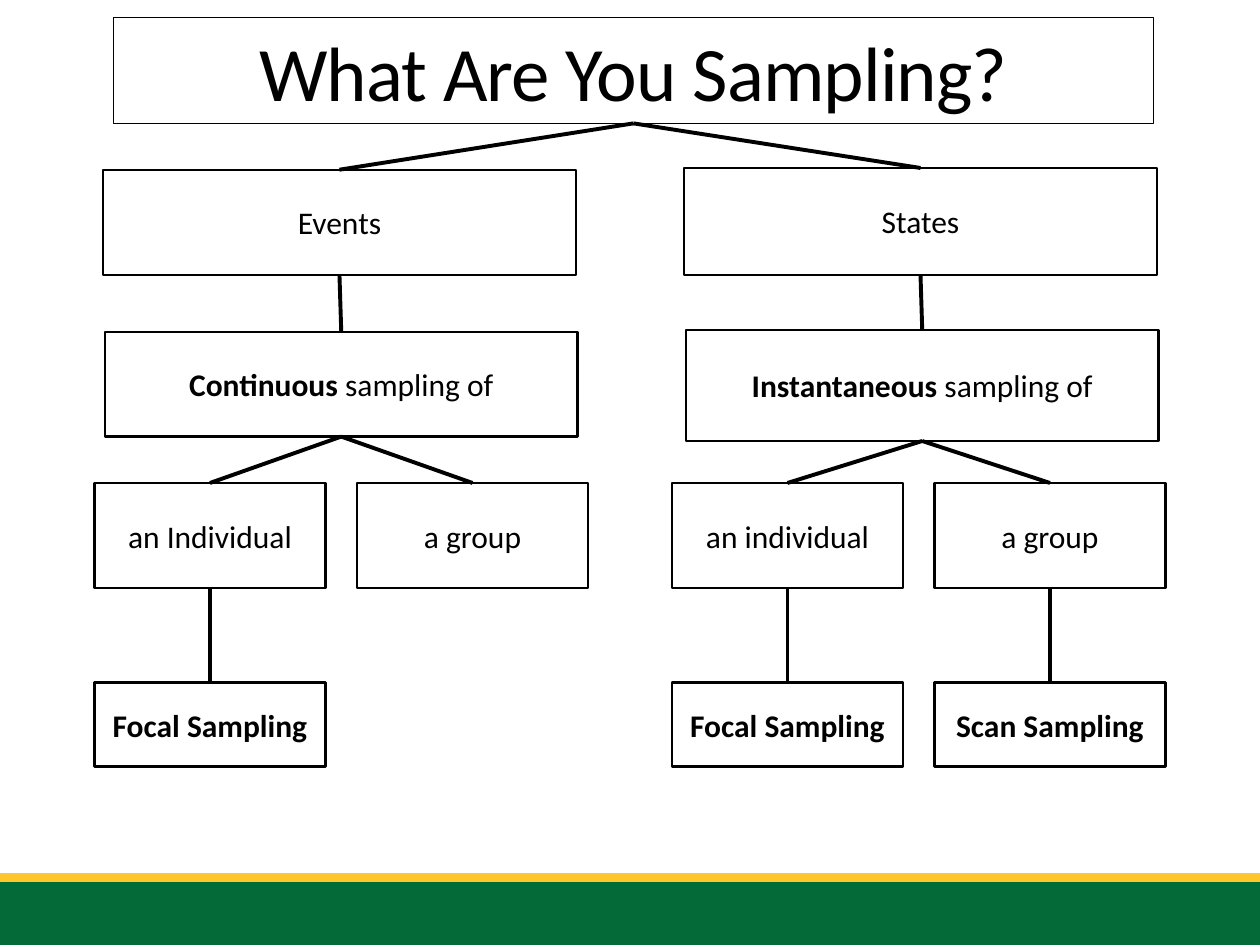
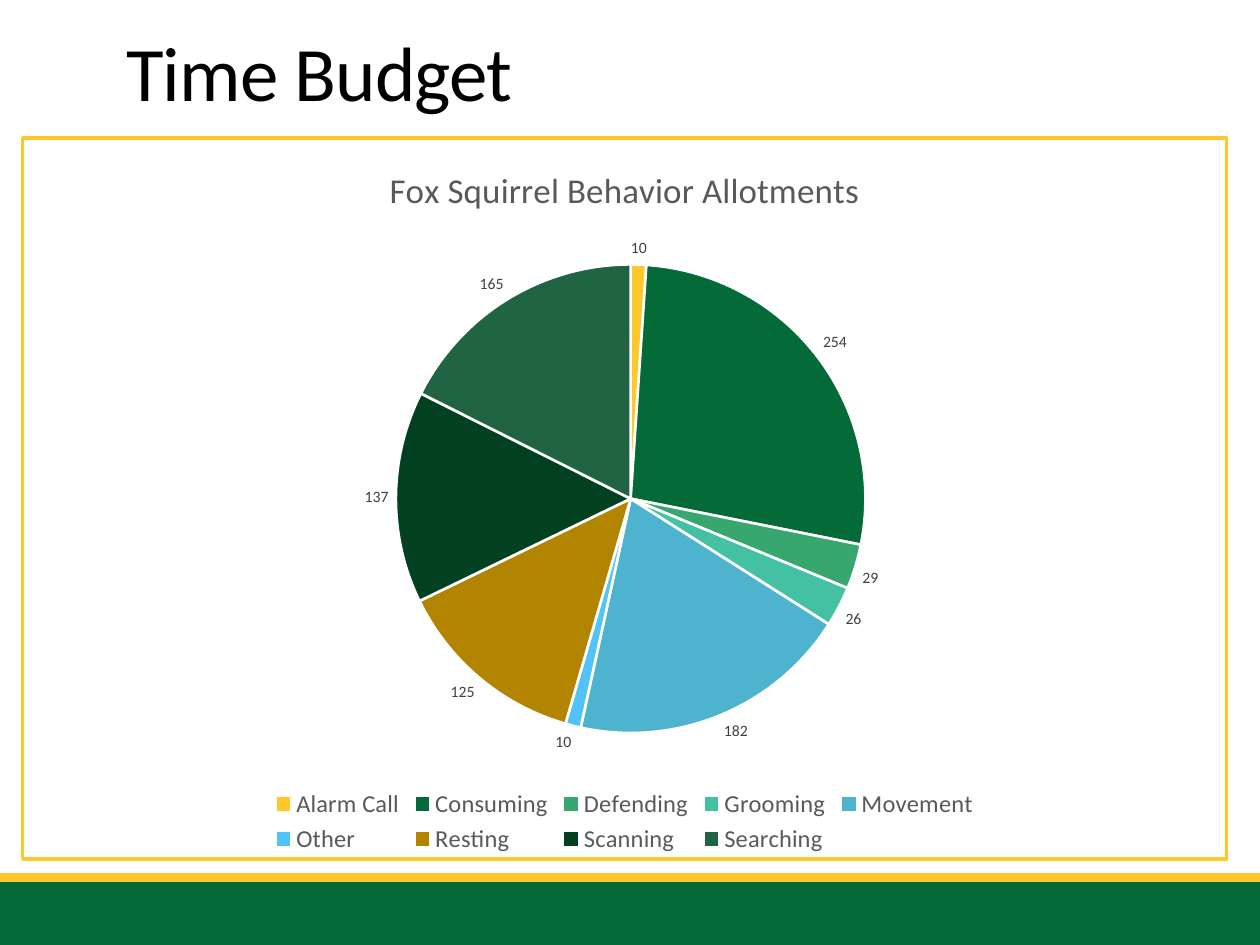
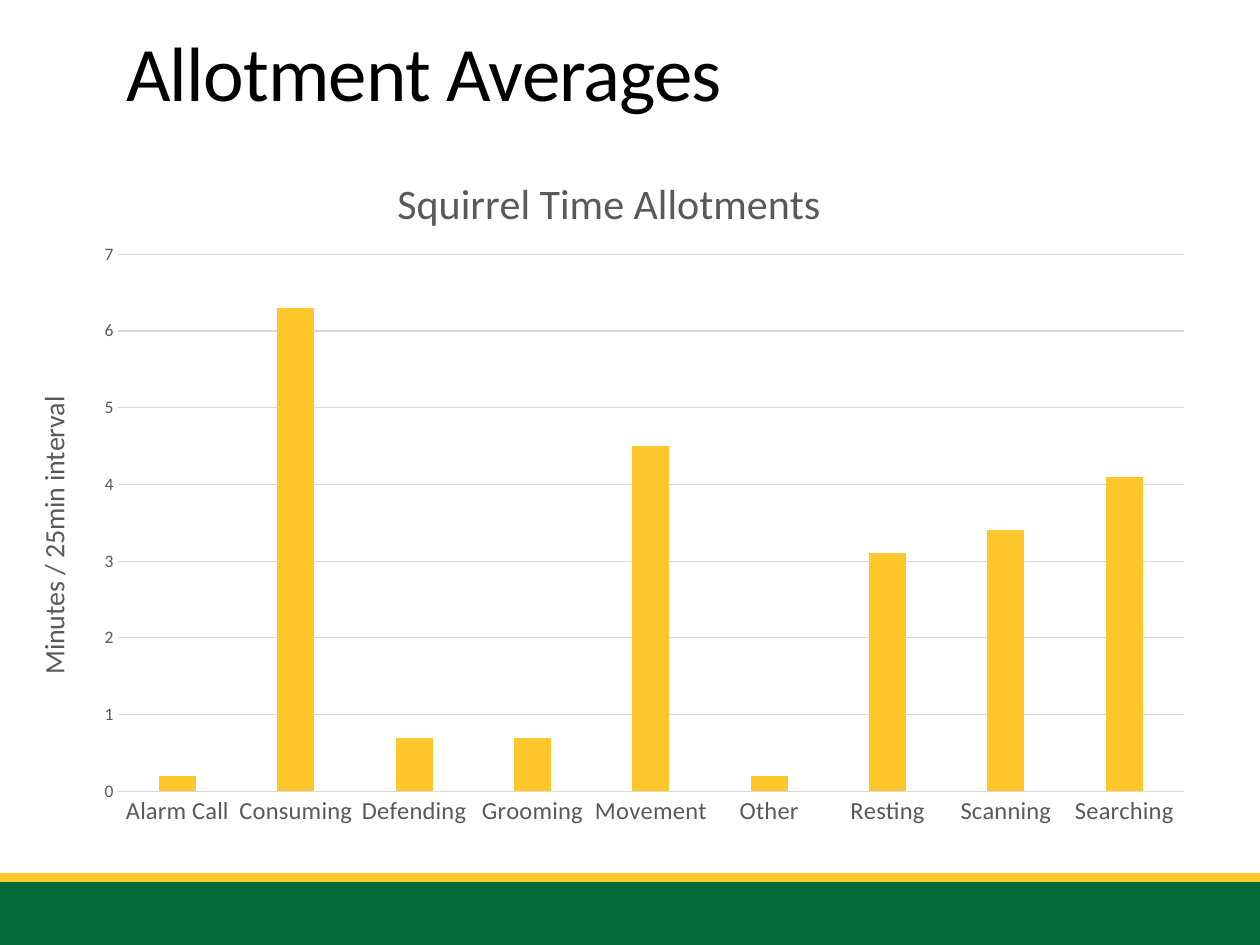
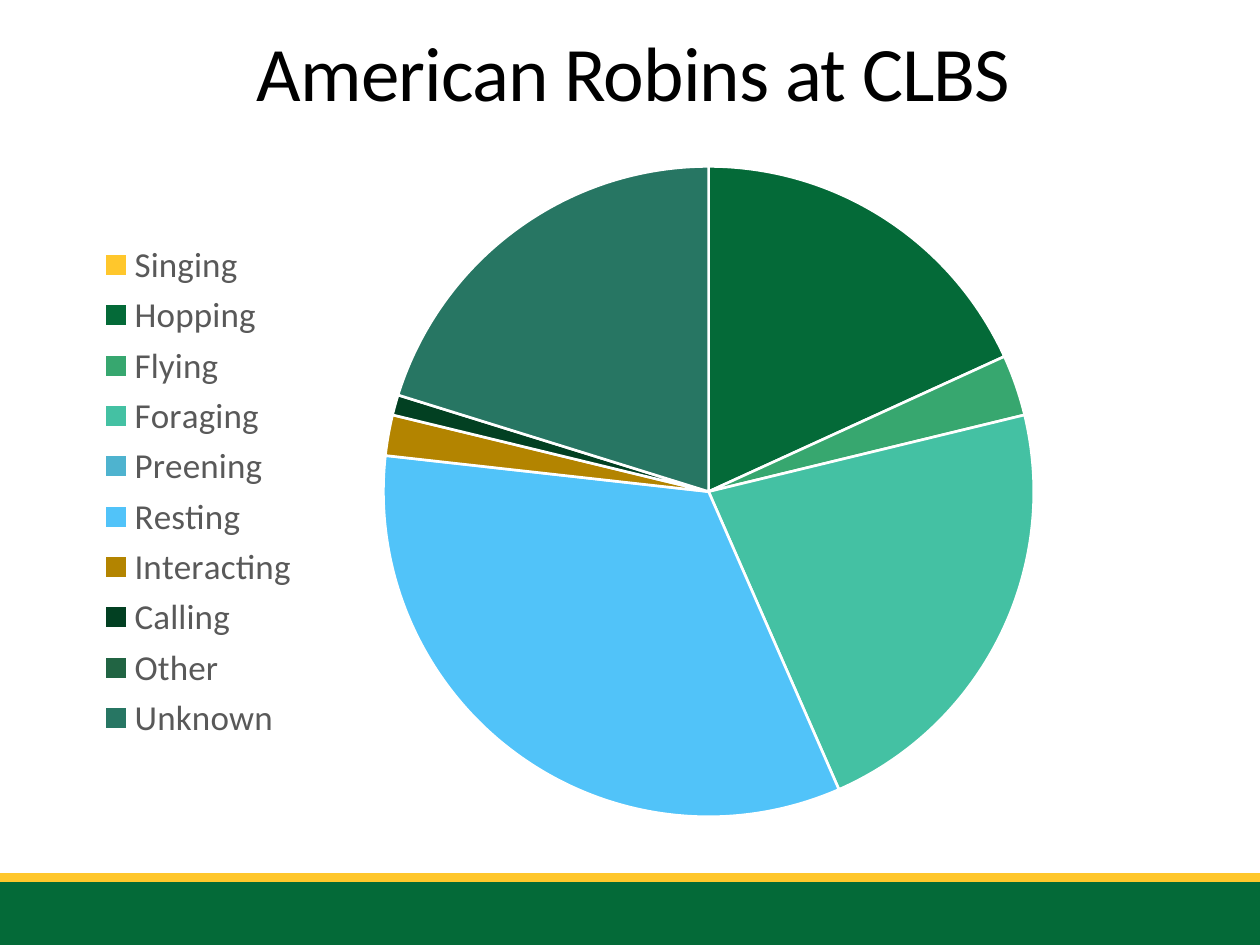
from pptx import Presentation
from pptx.chart.data import CategoryChartData
from pptx.dml.color import RGBColor
from pptx.enum import chart as ch, shapes, text
from pptx.oxml import parse_xml
from pptx.oxml.ns import nsdecls, qn
from pptx.util import Pt


class Theme:
    font = "Calibri"
    ink, paper, gray, label, rule = "000000", "FFFFFF", "595959", "404040", "D9D9D9"
    green, gold = "046A38", "FFC72C"
    slices = [gold, green, "37A76F", "44C1A3", "4EB3CF",
              "51C3F9", "B38400", "024022", "216443", "277663"]
    title, node, axis, mark = 44, 18, 10, 9


def style(font, size, color, bold=False):
    font.name, font.size, font.bold = Theme.font, Pt(size), bold
    font.color.rgb = RGBColor.from_string(color)


def plot(slide, kind, names, values, box, area, head=None, size=None):
    """Add a one-series chart whose plot fills area, given as fractions of the box."""
    data = CategoryChartData()
    data.categories = names
    data.add_series("Series 1", values)
    chart = slide.shapes.add_chart(kind, *map(Pt, box), data).chart
    style(chart.font, Theme.axis, Theme.ink)
    chart.has_legend = False
    chart.has_title = head is not None
    if head:
        chart.chart_title.text_frame.text = head
        style(chart.chart_title.text_frame.paragraphs[0].runs[0].font, size, Theme.gray)
    root = chart.element.find(".//" + qn("c:plotArea"))
    for old in root.findall(qn("c:layout")):
        root.remove(old)
    sizes = "".join(f'<c:{k} val="{v}"/>' for k, v in zip("xywh", area))
    root.insert(0, parse_xml(
        f'<c:layout {nsdecls("c")}><c:manualLayout><c:layoutTarget val="inner"/>'
        f'<c:xMode val="edge"/><c:yMode val="edge"/>{sizes}</c:manualLayout></c:layout>'))
    chart.plots[0].vary_by_categories = kind == ch.XL_CHART_TYPE.PIE
    if kind == ch.XL_CHART_TYPE.PIE:
        for i in range(len(names)):
            part = chart.plots[0].series[0].points[i].format
            part.fill.solid()
            part.fill.fore_color.rgb = RGBColor.from_string(Theme.slices[i])
            part.line.color.rgb = RGBColor.from_string(Theme.paper)
            part.line.width = Pt(1.5)
    return chart


deck = Presentation()
deck.slide_width, deck.slide_height = Pt(720), Pt(540)
titles = [("What Are You Sampling?", text.PP_ALIGN.CENTER),
          ("Time Budget", text.PP_ALIGN.LEFT),
          ("Allotment Averages", text.PP_ALIGN.LEFT),
          ("American Robins at CLBS", text.PP_ALIGN.CENTER)]
for words, align in titles:
    title = deck.slides.add_slide(deck.slide_layouts[5]).shapes.title
    title.left, title.top, title.width, title.height = Pt(65), Pt(10), Pt(594), Pt(60.5)
    frame = title.text_frame
    frame.text = words
    frame.word_wrap = True
    frame.auto_size = text.MSO_AUTO_SIZE.NONE
    frame.vertical_anchor = text.MSO_ANCHOR.BOTTOM
    line = frame.paragraphs[0]
    line.alignment, line.line_spacing = align, 0.85
    style(line.runs[0].font, Theme.title, Theme.ink)
    line.runs[0].font._element.set("spc", "-50")
tree, pie, bars, robins = deck.slides

# Footer bands, moved to the master so that every slide shows them
for top, height, color in [(499, 5, Theme.gold), (504, 36, Theme.green)]:
    band = tree.shapes.add_shape(shapes.MSO_SHAPE.RECTANGLE, 0, Pt(top), Pt(720), Pt(height))
    band.shadow.inherit = False
    band.fill.solid()
    band.fill.fore_color.rgb = RGBColor.from_string(color)
    band.line.fill.background()
    deck.slide_master.shapes.element.insert(2, band.element)

# Slide 1: decision tree; each node is key, parent, left, top, width, height, bold, plain
root = tree.shapes.title
root.line.color.rgb = RGBColor.from_string(Theme.ink)
root.line.width = Pt(0.75)
cols, small, wide = [54, 204, 384, 534], 132, 270
nodes = [
    ("events", "root", 59, 97, wide, 60, "", "Events"),
    ("states", "root", 391, 96, wide, 61, "", "States"),
    ("cont", "events", 60, 189.5, wide, 60, "Continuous", " sampling of"),
    ("inst", "states", 392, 188.5, wide, 63.5, "Instantaneous", " sampling of"),
    ("one", "cont", cols[0], 276, small, 60, "", "an Individual"),
    ("many", "cont", cols[1], 276, small, 60, "", "a group"),
    ("lone", "inst", cols[2], 276, small, 60, "", "an individual"),
    ("group", "inst", cols[3], 276, small, 60, "", "a group"),
    ("focal", "one", cols[0], 390, small, 48, "Focal Sampling", ""),
    ("spot", "lone", cols[2], 390, small, 48, "Focal Sampling", ""),
    ("scan", "group", cols[3], 390, small, 48, "Scan Sampling", ""),
]
made = {"root": root}
for key, parent, left, top, width, height, bold, plain in nodes:
    node = tree.shapes.add_shape(shapes.MSO_SHAPE.RECTANGLE,
                                 Pt(left), Pt(top), Pt(width), Pt(height))
    made[key] = node
    node.shadow.inherit = False
    node.fill.solid()
    node.fill.fore_color.rgb = RGBColor.from_string(Theme.paper)
    node.line.color.rgb = RGBColor.from_string(Theme.ink)
    node.line.width = Pt(1.25)
    node.text_frame.vertical_anchor = text.MSO_ANCHOR.MIDDLE
    line = node.text_frame.paragraphs[0]
    line.alignment = text.PP_ALIGN.CENTER
    for words, heavy in [(bold, True), (plain, False)]:
        if words:
            run = line.add_run()
            run.text = words
            style(run.font, Theme.node, Theme.ink, heavy)
    link = tree.shapes.add_connector(shapes.MSO_CONNECTOR.STRAIGHT, 0, 0, 0, 0)
    link.begin_connect(made[parent], 2)
    link.end_connect(node, 0)
    link.line.color.rgb = RGBColor.from_string(Theme.ink)
    link.line.width = Pt(2.25)
    link.element.spPr.append(parse_xml(f'<a:effectLst {nsdecls("a")}/>'))

# Slide 2: pie of counts in a gold frame
acts = ["Alarm Call", "Consuming", "Defending", "Grooming", "Movement",
        "Other", "Resting", "Scanning", "Searching"]
budget = plot(pie, ch.XL_CHART_TYPE.PIE, acts, [10, 254, 29, 26, 182, 10, 125, 137, 165],
              (12, 78, 690, 414), (0.31, 0.17, 0.39, 0.66),
              "Fox Squirrel Behavior Allotments", 20)
budget.plots[0].has_data_labels = True
marks = budget.plots[0].data_labels
marks.show_value = True
marks.position = ch.XL_LABEL_POSITION.OUTSIDE_END
style(marks.font, Theme.mark, Theme.label)
core = budget.element.find(qn("c:chart"))
if budget.element.find(qn("c:roundedCorners")) is None:
    core.addprevious(parse_xml(f'<c:roundedCorners {nsdecls("c")} val="0"/>'))
core.addnext(parse_xml(
    f'<c:spPr {nsdecls("c", "a")}><a:noFill/><a:ln w="{Pt(2)}"><a:solidFill>'
    f'<a:srgbClr val="{Theme.gold}"/></a:solidFill></a:ln></c:spPr>'))

# Slide 3: columns of average minutes
means = plot(bars, ch.XL_CHART_TYPE.COLUMN_CLUSTERED, acts,
             [0.2, 6.3, 0.7, 0.7, 4.5, 0.2, 3.1, 3.4, 4.1],
             (6, 84, 684, 396), (0.09, 0.155, 0.89, 0.775), "Squirrel Time Allotments", 24)
cluster = means.plots[0]
cluster.gap_width, cluster.overlap = 219, -27
fill = cluster.series[0].format.fill
fill.solid()
fill.fore_color.rgb = RGBColor.from_string(Theme.gold)
for axis, size in [(means.category_axis, 14), (means.value_axis, Theme.axis)]:
    axis.major_tick_mark = axis.minor_tick_mark = ch.XL_TICK_MARK.NONE
    style(axis.tick_labels.font, size, Theme.gray)
value = means.value_axis
value.minimum_scale = 0
value.format.line.fill.background()
value.has_major_gridlines = True
for edge in (means.category_axis.format.line, value.major_gridlines.format.line):
    edge.color.rgb = RGBColor.from_string(Theme.rule)
    edge.width = Pt(0.75)
value.axis_title.text_frame.text = "Minutes / 25min interval"
style(value.axis_title.text_frame.paragraphs[0].runs[0].font, 16, Theme.gray)
body = means.element.xpath(".//c:valAx/c:title//a:bodyPr")[0]
body.set("rot", "-5400000")
body.set("vert", "horz")

# Slide 4: pie of robin behaviour
birds = plot(robins, ch.XL_CHART_TYPE.PIE,
             ["Singing", "Hopping", "Flying", "Foraging", "Preening",
              "Resting", "Interacting", "Calling", "Other", "Unknown"],
             [0, 18, 3, 22, 0, 33, 2, 1, 0, 20],
             (48, 84, 590, 394), (0.29, 0.025, 0.63, 0.95))

for chart, place, size in [(budget, ch.XL_LEGEND_POSITION.BOTTOM, 14),
                           (birds, ch.XL_LEGEND_POSITION.LEFT, 20)]:
    chart.has_legend = True
    chart.legend.position = place
    chart.legend.include_in_layout = False
    style(chart.legend.font, size, Theme.gray)

deck.save("out.pptx")
